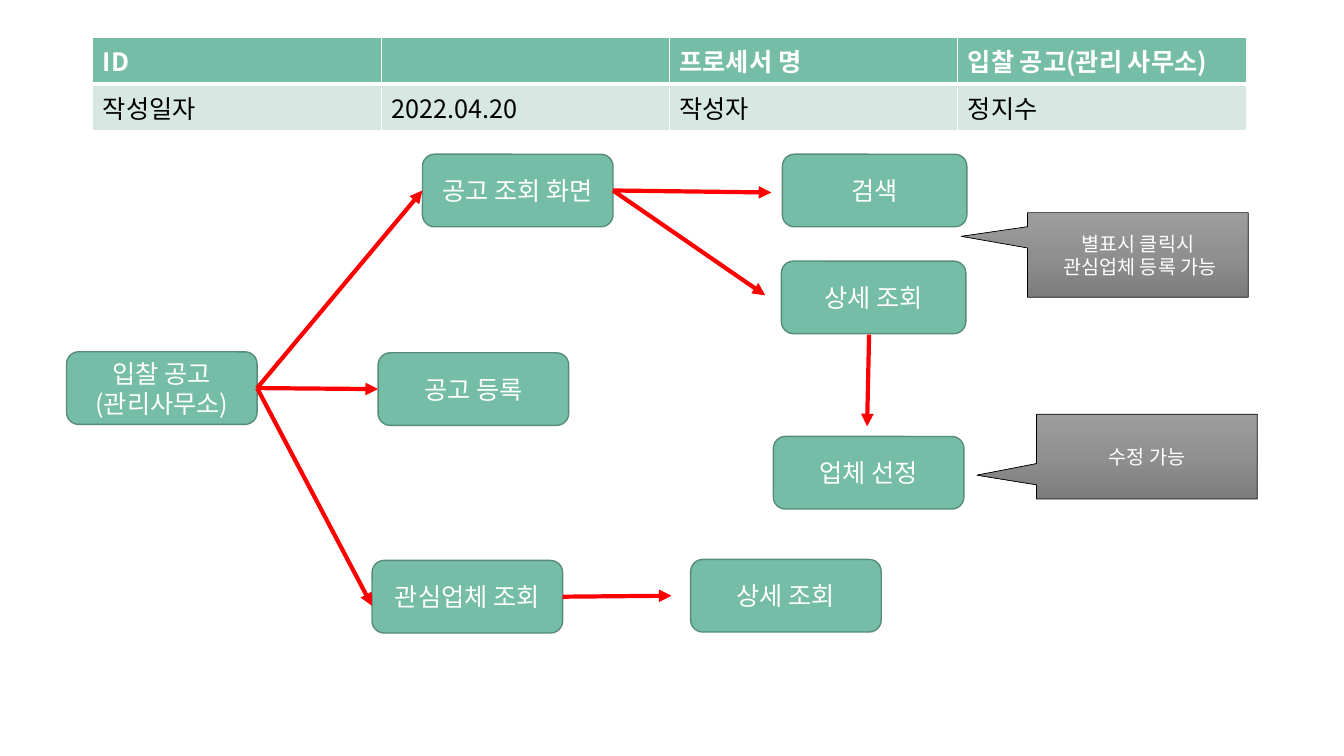
from copy import deepcopy
from lxml.etree import SubElement as Sub
from pptx import Presentation
from pptx.dml.color import RGBColor
from pptx.enum.shapes import MSO_CONNECTOR as Conn, MSO_SHAPE as Geo
from pptx.enum.text import MSO_ANCHOR as Anchor, PP_ALIGN as Align
from pptx.oxml.ns import qn
from pptx.util import Pt

PX = 9144
FONT = "Noto Sans CJK KR"
GREEN, PALE, EDGE = "75BDA7", "D6E8E1", "578C7C"
WHITE, BLACK, RED = "FFFFFF", "000000", "FF0000"
TOP, LEFT, BOTTOM, RIGHT = range(4)

ROWS = [["ID", "", "프로세서 명", "입찰 공고(관리 사무소)"],
        ["작성일자", "2022.04.20", "작성자", "정지수"]]
STEPS = {
    "bid": ((66, 349, 189, 72), ["입찰 공고", "(관리사무소)"]),
    "view": ((419, 153, 189, 72), ["공고 조회 화면"]),
    "post": ((375, 350, 189, 72), ["공고 등록"]),
    "firms": ((369, 556, 189, 72), ["관심업체 조회"]),
    "pick": ((767, 433, 189, 72), ["업체 선정"]),
    "firm": ((685, 555, 189, 72), ["상세 조회"]),
    "search": ((776, 153, 183, 72), ["검색"]),
    "detail": ((775, 259, 183, 72), ["상세 조회"]),
}
LINKS = [
    (("bid", RIGHT), ("view", LEFT)),
    (("bid", RIGHT), ("post", LEFT)),
    (("bid", RIGHT), (369, 601)),
    (("view", RIGHT), (765, 191)),
    (("view", RIGHT), (759, 293)),
    ((862, 332), (860, 423)),
    (("firms", RIGHT), (666, 591)),
]
NOTES = [
    ((1019, 211, 219, 84), (-0.8, -0.22), ["별표시 클릭시", " 관심업체 등록 가능"]),
    ((1028, 411, 219, 84), (-0.77, 0.22), ["수정 가능"]),
]


def px(*nums):
    return [round(n * PX) for n in nums]


def color(text):
    return RGBColor.from_string(text)


def write(para, text, size, tone, bold=False):
    run = para.add_run()
    run.text = text
    font = run.font
    font.name, font.size, font.bold = FONT, Pt(size), bold
    font.color.rgb = color(tone)
    Sub(font._element, qn("a:ea"), typeface=FONT)


def fill_text(shape, lines, size):
    frame = shape.text_frame
    frame.word_wrap = True
    frame.vertical_anchor = Anchor.MIDDLE
    for i, line in enumerate(lines):
        para = frame.add_paragraph() if i else frame.paragraphs[0]
        para.alignment = Align.CENTER
        write(para, line, size, WHITE)


def edge_cell(cell, low):
    props = cell._tc.get_or_add_tcPr()
    for side in "LRTB":
        width = low if side == "B" else 1
        line = Sub(props, qn("a:ln" + side), w=str(Pt(width)))
        paint = Sub(line, qn("a:solidFill"))
        Sub(paint, qn("a:srgbClr"), val=WHITE)


def add_head(slide, box):
    grid = slide.shapes.add_table(2, 4, *px(*box)).table
    for col in grid.columns:
        col.width = px(box[2] / 4)[0]
    for r, (row, high) in enumerate(zip(ROWS, (46, 46))):
        grid.rows[r].height = px(high)[0]
        for c, text in enumerate(row):
            cell = grid.cell(r, c)
            edge_cell(cell, 1 if r else 3)
            cell.fill.solid()
            cell.fill.fore_color.rgb = color(PALE if r else GREEN)
            if text:
                write(cell.text_frame.paragraphs[0], text, 18,
                      BLACK if r else WHITE, not r)


def add_step(slide, box, lines):
    step = slide.shapes.add_shape(Geo.ROUNDED_RECTANGLE, *px(*box))
    step.shadow.inherit = False
    step.fill.solid()
    step.fill.fore_color.rgb = color(GREEN)
    step.line.color.rgb = color(EDGE)
    step.line.width = Pt(1)
    fill_text(step, lines, 18)
    return step


def add_note(slide, box, tip, lines):
    note = slide.shapes.add_shape(Geo.RECTANGULAR_CALLOUT, *px(*box))
    note.shadow.inherit = False
    note.adjustments[0], note.adjustments[1] = tip
    note.fill.gradient()
    note.fill.gradient_angle = 270
    first = note.fill._xPr.find(".//" + qn("a:gs"))
    first.addnext(deepcopy(first))
    stops = zip(note.fill.gradient_stops, (0, 0.5, 1), ("9D9D9D", "909090", "7C7C7C"))
    for stop, spot, tone in stops:
        stop.position = spot
        stop.color.rgb = color(tone)
    note.line.color.rgb = color(BLACK)
    note.line.width = Pt(0.5)
    fill_text(note, lines, 14)


def add_link(slide, steps, start, end):
    ends = [(0, 0) if p[0] in steps else p for p in (start, end)]
    link = slide.shapes.add_connector(Conn.STRAIGHT, *px(*ends[0], *ends[1]))
    for point, join in ((start, link.begin_connect), (end, link.end_connect)):
        if point[0] in steps:
            join(steps[point[0]], point[1])
    link.line.color.rgb = color(RED)
    link.line.width = Pt(3)
    Sub(link.line._get_or_add_ln(), qn("a:tailEnd"), type="triangle")
    Sub(link._element.spPr, qn("a:effectLst"))


def main():
    deck = Presentation()
    deck.slide_width, deck.slide_height = px(1333, 750)
    slide = deck.slides.add_slide(deck.slide_layouts[6])
    add_head(slide, (92, 37, 1144, 92))
    steps = {key: add_step(slide, *item) for key, item in STEPS.items()}
    for note in NOTES:
        add_note(slide, *note)
    for link in LINKS:
        add_link(slide, steps, *link)
    deck.save("out.pptx")


if __name__ == "__main__":
    main()
